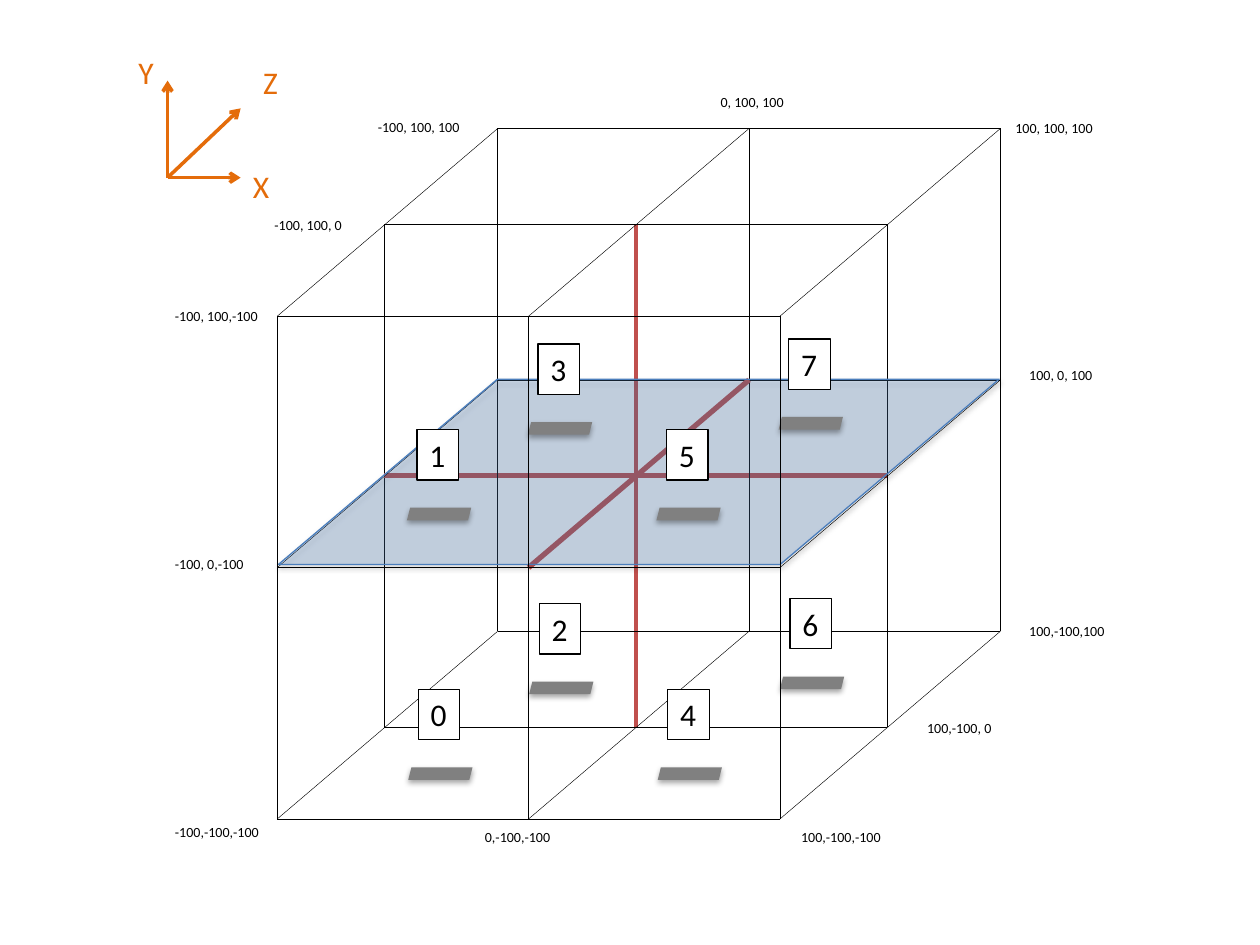
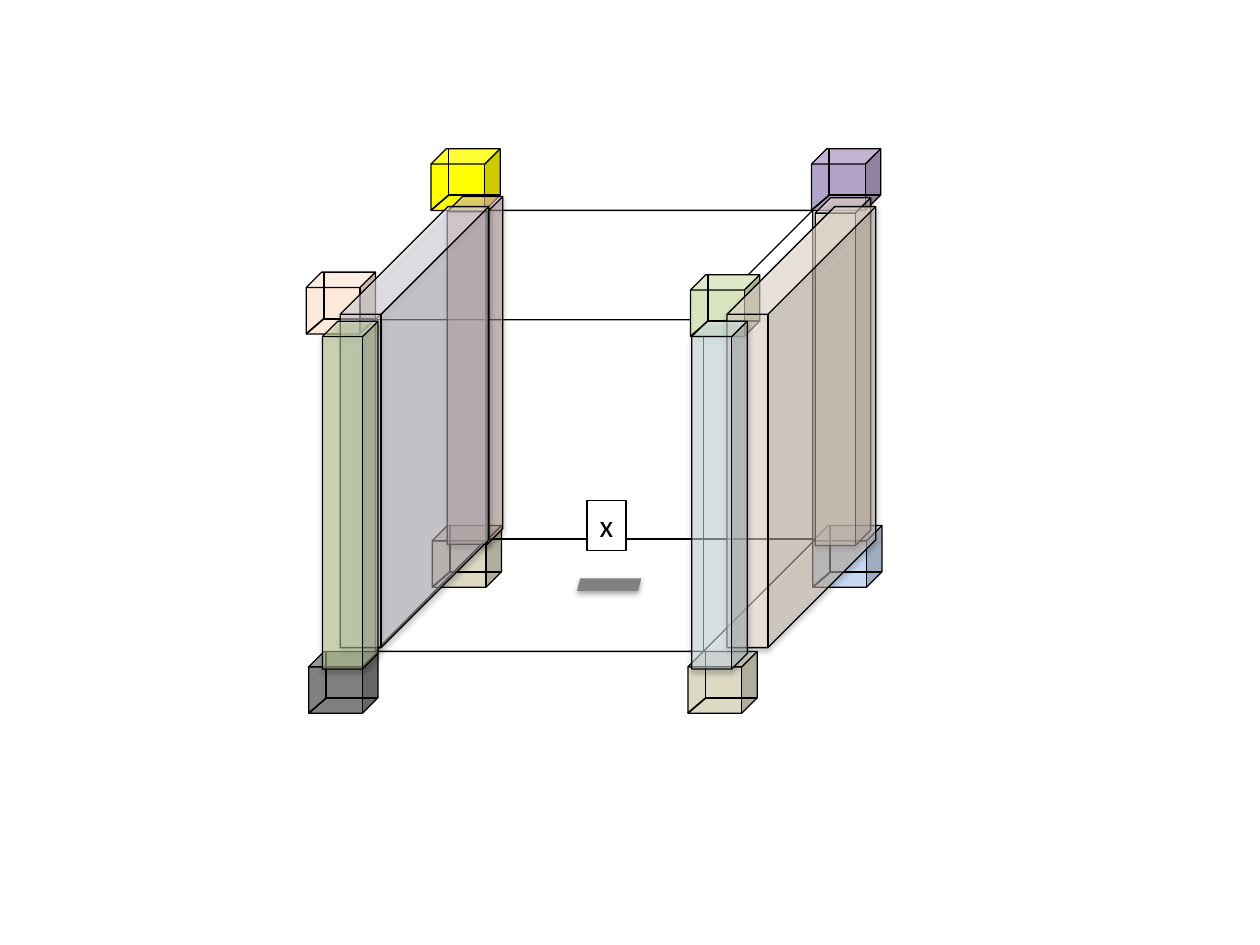
"""Builds two slides: a cube split into octants, and one cell with its corners, posts and walls."""
from itertools import product
from lxml.etree import SubElement
from pptx import Presentation
from pptx.dml.color import RGBColor
from pptx.enum.shapes import MSO_CONNECTOR, MSO_SHAPE
from pptx.enum.text import MSO_ANCHOR, MSO_AUTO_SIZE, PP_ALIGN
from pptx.oxml.ns import qn
from pptx.util import Inches, Pt

FONT = "Calibri"
COLORS = {
    "ink": "000000", "paper": "FFFFFF", "axis": "E46C0A", "red": "C0504D",
    "plane": "4F81BD", "plane_edge": "4B7EBC", "gray": "808080",
    "tan": "DDD9C3", "peach": "FDEADA", "yellow": "FFFF00", "lime": "D7E4BD",
    "purple": "B3A2C7", "sky": "C6D9F1", "rose": "E6B9B8", "lilac": "E6E0EC",
    "green": "C3D69B", "ice": "DBEEF4",
}

HALF = 1.995
FRAMES = {"middle": (3.05, 1.78), "back": (3.95, 1.02), "front": (2.2, 2.51)}
OCTANTS = {0: (3.32, 5.47), 2: (4.28, 4.79), 4: (5.3, 5.47), 6: (6.27, 4.75)}
UPPER_SHIFT = (-0.01, -2.06)
COORDS = [
    ("-100,-100,-100", 1.29, 6.49, 0.88), ("0,-100,-100", 3.75, 6.53, 0.72),
    ("100,-100,-100", 6.26, 6.53, 0.84), ("-100, 0,-100", 1.29, 4.36, 0.75),
    ("-100, 100,-100", 1.29, 2.39, 0.86), ("100,-100, 0", 7.26, 5.66, 0.72),
    ("100,-100,100", 8.07, 4.89, 0.83), ("100, 0, 100", 8.07, 2.86, 0.71),
    ("100, 100, 100", 7.96, 0.9, 0.82), ("-100, 100, 100", 2.9, 0.89, 0.85),
    ("-100, 100, 0", 2.08, 1.67, 0.74), ("0, 100, 100", 5.62, 0.69, 0.71),
]
ORIGIN = (1.33, 1.41)
AXES = [
    ("X", (1.91, 1.41), (1.91, 1.28)),
    ("Y", (1.33, 0.64), (1, 0.37)),
    ("Z", (1.91, 0.86), (1.99, 0.45)),
]

CORNER, CORNER_SHIFT = (0.55, 0.49), (0.14, 0.12)
CELL, CELL_SHIFT = (2.98, 1.67, 3.47, 3.5), (0.88, 0.89)
BACK_CORNER = (3.43, 4.17, "tan")
CORNERS = [
    (2.45, 5.17, "gray"), (2.43, 2.16, "peach"), (3.42, 1.18, "yellow"),
    (5.46, 5.17, "tan"), (5.48, 2.18, "lime"), (6.44, 1.18, "purple"),
    (6.45, 4.17, "sky"),
]
POST, WALL = (0.44, 2.76, 0.277), (1.18, 3.5, 0.725)
PANELS = [
    (3.55, 1.56, POST, "rose"), (6.47, 1.57, POST, "peach"),
    (5.77, 1.64, WALL, "peach"), (2.7, 1.64, WALL, "lilac"),
    (2.56, 2.55, POST, "green"), (5.49, 2.55, POST, "ice"),
]


def rgb(name):
    return RGBColor.from_string(COLORS[name])


def set_alpha(color, percent):
    SubElement(color, qn("a:alpha"), val=str(percent * 1000))


def add_line(shapes, start, end, color="ink", width=0.25, arrow=False):
    ends = [Inches(v) for v in (*start, *end)]
    c = shapes.add_connector(MSO_CONNECTOR.STRAIGHT, *ends)
    c.line.color.rgb = rgb(color)
    c.line.width = Pt(width)
    if arrow:
        SubElement(c.line._get_or_add_ln(), qn("a:tailEnd"), type="arrow")
    SubElement(c._element.spPr, qn("a:effectLst"))


def add_solid(shapes, kind, box, fill=None, line="ink", adj=None, alpha=None, shadow=False):
    sp = shapes.add_shape(kind, *[Inches(v) for v in box])
    if adj:
        sp.adjustments[0] = adj
    if fill:
        sp.fill.solid()
        sp.fill.fore_color.rgb = rgb(fill)
    else:
        sp.fill.background()
    if alpha:
        set_alpha(sp._element.spPr.find(qn("a:solidFill"))[0], alpha)
    if line:
        sp.line.color.rgb = rgb(line)
        sp.line.width = Pt(0.75)
    else:
        sp.line.fill.background()
    sp.shadow.inherit = False
    if shadow:
        effects = sp._element.spPr.find(qn("a:effectLst"))
        outer = SubElement(effects, qn("a:outerShdw"), blurRad="40000", dist="23000",
                           dir="5400000", rotWithShape="0")
        set_alpha(SubElement(outer, qn("a:srgbClr"), val=COLORS["ink"]), 35)


def add_text(shapes, text, box, size, color="ink"):
    sp = shapes.add_textbox(*[Inches(v) for v in box])
    tf = sp.text_frame
    tf.word_wrap = False
    tf.auto_size = MSO_AUTO_SIZE.SHAPE_TO_FIT_TEXT
    tf.vertical_anchor = MSO_ANCHOR.TOP
    p = tf.paragraphs[0]
    p.text = text
    p.alignment = PP_ALIGN.LEFT
    p.font.name, p.font.size = FONT, Pt(size)
    p.font.color.rgb = rgb(color)
    return sp


def add_marker(slide, text, x, y, width=0.33):
    shapes = slide.shapes.add_group_shape().shapes
    sp = add_text(shapes, text, (x, y, width, 0.4), 18)
    sp.fill.solid()
    sp.fill.fore_color.rgb = rgb("paper")
    sp.line.color.rgb = rgb("ink")
    sp.line.width = Pt(0.75)
    add_solid(shapes, MSO_SHAPE.PARALLELOGRAM, (x - 0.08, y + 0.62, 0.51, 0.1),
              "gray", line=None, shadow=True)


def grid_point(frame, col, row):
    x, y = FRAMES[frame]
    return x + col * HALF, y + row * HALF


def add_frame(slide, frame):
    shapes = slide.shapes.add_group_shape().shapes
    for i in (0, 2, 1):
        style = ("red", 2.25) if (frame, i) == ("middle", 1) else ("ink", 0.25)
        add_line(shapes, grid_point(frame, i, 0), grid_point(frame, i, 2), *style)
    for i in range(3):
        style = ("red", 3) if (frame, i) == ("middle", 1) else ("ink", 0.25)
        add_line(shapes, grid_point(frame, 0, i), grid_point(frame, 2, i), *style)


def add_glass_cube(slide, box, shift, fill=None):
    shapes = slide.shapes.add_group_shape().shapes
    add_solid(shapes, MSO_SHAPE.CUBE, box, fill)
    x, y, w, h = box
    hidden = (x + shift[0], y + h - shift[1])
    for end in ((x, y + h), (hidden[0], y), (x + w, hidden[1])):
        add_line(shapes, hidden, end, width=1)


def build_octants(slide):
    add_frame(slide, "middle")
    add_frame(slide, "back")
    for col, row in product(range(3), repeat=2):
        style = ("red", 3) if (col, row) == (1, 1) else ("ink", 0.25)
        add_line(slide.shapes, grid_point("front", col, row), grid_point("back", col, row), *style)
    add_solid(slide.shapes, MSO_SHAPE.PARALLELOGRAM, (2.21, 3.01, 5.72, 1.47), "plane",
              "plane_edge", adj=1.182, alpha=26, shadow=True)
    for number, (x, y) in OCTANTS.items():
        add_marker(slide, str(number), x, y)
        add_marker(slide, str(number + 1), x + UPPER_SHIFT[0], y + UPPER_SHIFT[1])
    add_frame(slide, "front")
    for text, x, y, w in COORDS:
        add_text(slide.shapes, text, (x, y, w, 0.24), 8)
    shapes = slide.shapes.add_group_shape().shapes
    for name, tip, at in AXES:
        add_line(shapes, ORIGIN, tip, "axis", 2, arrow=True)
        add_text(shapes, name, (*at, 0.33, 0.4), 18, "axis")


def build_cell(slide):
    x, y, fill = BACK_CORNER
    add_glass_cube(slide, (x, y, *CORNER), CORNER_SHIFT, fill)
    add_glass_cube(slide, CELL, CELL_SHIFT)
    for x, y, fill in CORNERS:
        add_glass_cube(slide, (x, y, *CORNER), CORNER_SHIFT, fill)
    add_marker(slide, "x", 4.66, 3.97, 0.31)
    for x, y, (w, h, adj), fill in PANELS:
        add_solid(slide.shapes, MSO_SHAPE.CUBE, (x, y, w, h), fill,
                  adj=adj, alpha=52, shadow=True)


prs = Presentation()
prs.slide_width, prs.slide_height = Inches(10), Inches(7.5)
for build in (build_octants, build_cell):
    build(prs.slides.add_slide(prs.slide_layouts[6]))
prs.save("out.pptx")
